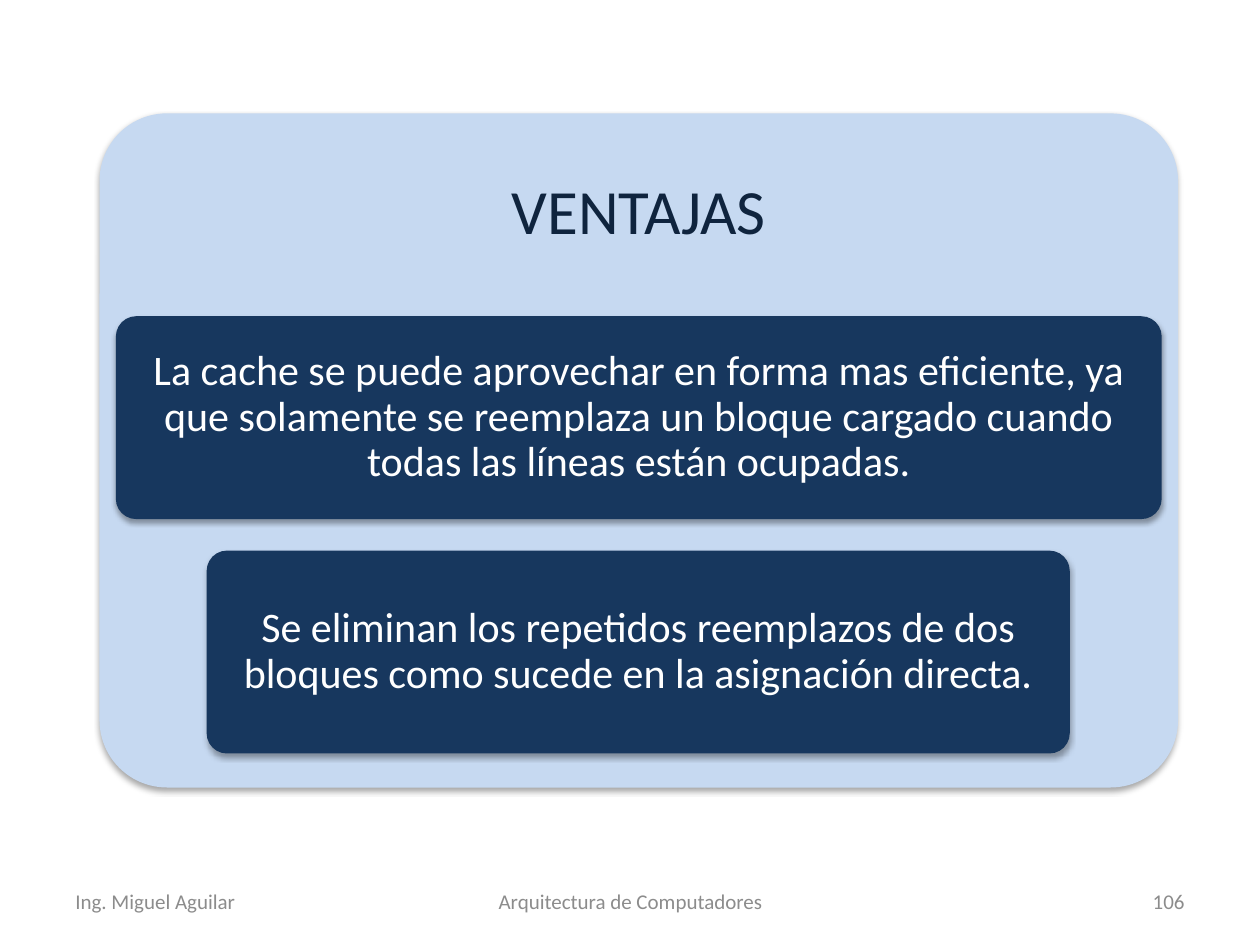
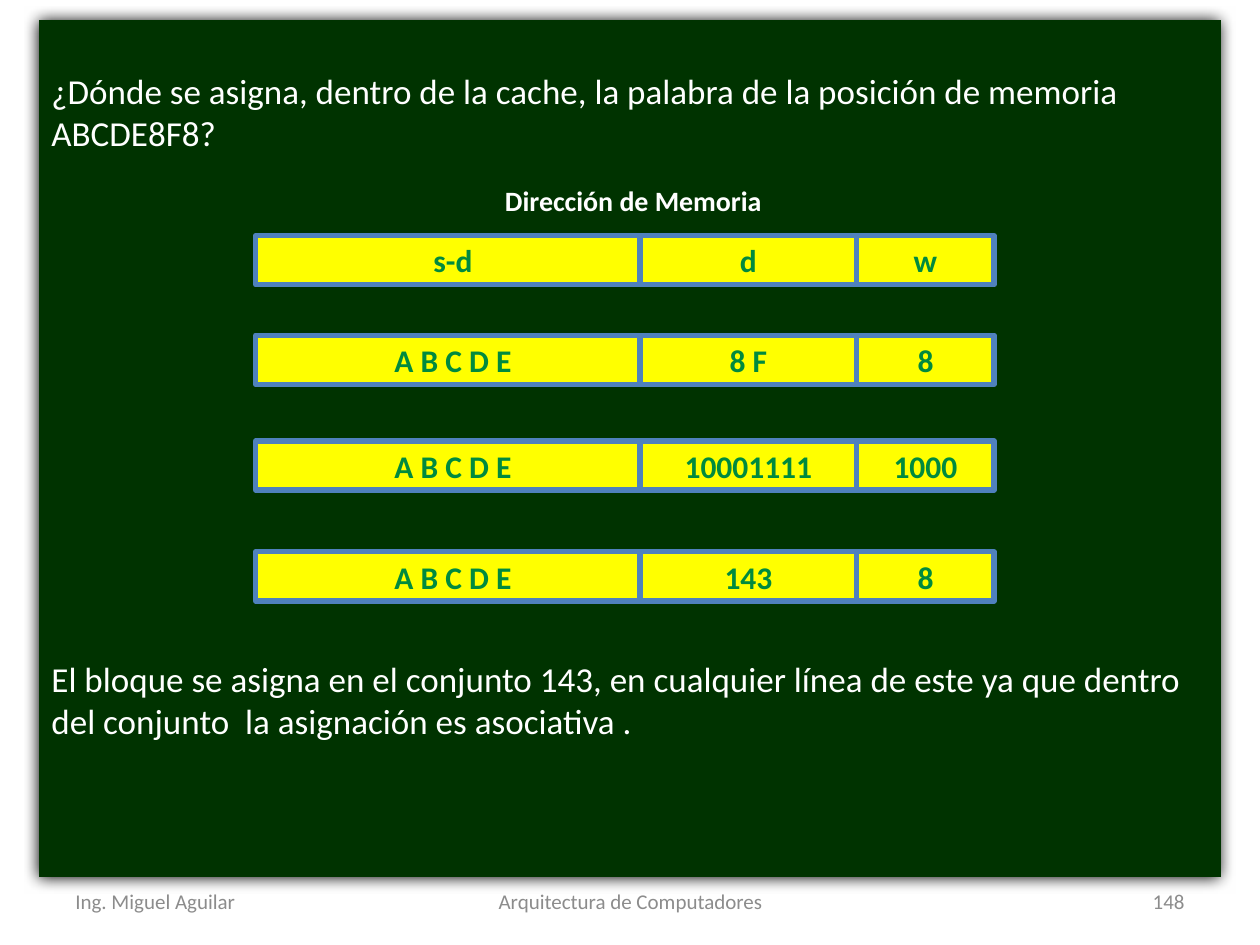
"""Build two slides on cache mapping: advantages and a set-associative example."""
from dataclasses import dataclass

from lxml.etree import SubElement
from pptx import Presentation
from pptx.dml.color import RGBColor as RGB
from pptx.enum.shapes import MSO_SHAPE as SHAPE
from pptx.enum.text import MSO_ANCHOR as ANCHOR, PP_ALIGN as ALIGN
from pptx.oxml.ns import qn
from pptx.util import Inches, Pt


@dataclass(frozen=True)
class Theme:
    font: str = "Calibri"
    white: str = "FFFFFF"
    footer: str = "8C8C8C"
    panel: str = "C6D9F1"
    heading: str = "0F243E"
    card: str = "17375E"
    board: str = "003300"
    cell: str = "FFFF00"
    cell_line: str = "4F81BD"
    cell_text: str = "008A3E"
    footer_pt: int = 12
    label_pt: int = 16
    cell_pt: int = 18
    body_pt: int = 20
    card_pt: int = 24
    heading_pt: int = 36


T = Theme()
SOFT = {"alpha": 35, "blur": 3.1, "dist": 1.8}
GLOW = {"alpha": 100, "blur": 8.5, "dist": 1}


def add_box(s, at, kind=None, fill=None, line=None, shadow=None):
    at = [Inches(v) for v in at]
    if kind is None:
        return s.shapes.add_textbox(*at)
    sp = s.shapes.add_shape(kind, *at)
    sp.shadow.inherit = False
    sp.fill.solid()
    sp.fill.fore_color.rgb = RGB.from_string(fill)
    if line:
        sp.line.color.rgb = RGB.from_string(line)
        sp.line.width = Pt(3)
    else:
        sp.line.fill.background()
    if shadow:
        effects = sp._element.spPr.find(qn("a:effectLst"))
        outer = SubElement(effects, qn("a:outerShdw"), blurRad=str(Pt(shadow["blur"])),
                           dist=str(Pt(shadow["dist"])), dir="5400000", rotWithShape="0")
        color = SubElement(outer, qn("a:srgbClr"), val="000000")
        SubElement(color, qn("a:alpha"), val=str(shadow["alpha"] * 1000))
    return sp


def write(sp, texts, size, color, bold=False, frame=None, para=None, gap=0):
    tf = sp.text_frame
    for name, value in {"word_wrap": True, "vertical_anchor": ANCHOR.MIDDLE, **(frame or {})}.items():
        setattr(tf, name, value)
    for i, text in enumerate(texts):
        p = tf.paragraphs[0] if i == 0 else tf.add_paragraph()
        for name, value in {"alignment": ALIGN.CENTER, **(para or {})}.items():
            setattr(p, name, value)
        if i:
            p.space_before = Pt(gap)
        r = p.add_run()
        r.text = text
        for name, value in {"name": T.font, "size": Pt(size), "bold": bold}.items():
            setattr(r.font, name, value)
        r.font.color.rgb = RGB.from_string(color)


prs = Presentation()
prs.slide_width, prs.slide_height = Inches(10), Inches(7.5)

slides = []
for number in ("106", "148"):
    s = prs.slides.add_slide(prs.slide_layouts[6])
    slides.append(s)
    for text, left, width, align in (
        ("Ing. Miguel Aguilar", 0.5, 2.33, ALIGN.LEFT),
        ("Arquitectura de Computadores", 3.42, 3.17, ALIGN.CENTER),
        (number, 7.17, 2.33, ALIGN.RIGHT),
    ):
        write(add_box(s, (left, 6.95, width, 0.4)), [text], T.footer_pt, T.footer,
              para={"alignment": align})
advantages, example = slides

tight = {"line_spacing": 0.9}
sp = add_box(advantages, (0.79, 0.9, 8.56, 5.35), SHAPE.ROUNDED_RECTANGLE, T.panel, shadow=SOFT)
sp.adjustments[0] = 0.1
write(add_box(advantages, (0.79, 0.9, 8.56, 1.6)), ["VENTAJAS"], T.heading_pt, T.heading, para=tight)

card_frame = {"margin_left": Inches(0.07), "margin_right": Inches(0.07)}
for left, top, width, text in (
    (0.92, 2.51, 8.3, "La cache se puede aprovechar en forma mas eficiente, ya que solamente "
                      "se reemplaza un bloque cargado cuando todas las líneas están ocupadas."),
    (1.64, 4.37, 6.85, "Se eliminan los repetidos reemplazos de dos bloques como sucede "
                       "en la asignación directa."),
):
    sp = add_box(advantages, (left, top, width, 1.61), SHAPE.ROUNDED_RECTANGLE, T.card, shadow=SOFT)
    sp.adjustments[0] = 0.1
    write(sp, [text], T.card_pt, T.white, frame=card_frame, para=tight)

board = add_box(example, (0.31, 0.16, 9.38, 6.8), SHAPE.RECTANGLE, T.board, shadow=GLOW)
write(board, [
    "¿Dónde se asigna, dentro de la cache, la palabra de la posición de memoria ABCDE8F8?",
    "El bloque se asigna en el conjunto 143, en cualquier línea de este ya que dentro "
    "del conjunto  la asignación es asociativa .",
], T.body_pt, T.white, frame={"vertical_anchor": ANCHOR.TOP, "margin_top": Inches(0.39)},
    para={"alignment": ALIGN.LEFT}, gap=288)

write(add_box(example, (3.91, 1.41, 2.27, 0.37)), ["Dirección de Memoria"], T.label_pt, T.white,
      bold=True, frame={"word_wrap": False, "vertical_anchor": ANCHOR.TOP},
      para={"alignment": ALIGN.LEFT})

columns = ((2.03, 3.13), (5.08, 1.72), (6.8, 1.09))
rows = (
    (1.87, ("s-d", "d", "w")),
    (2.66, ("A B C D E", "8 F", "8")),
    (3.5, ("A B C D E", "10001111", "1000")),
    (4.38, ("A B C D E", "143", "8")),
)
for top, fields in rows:
    for (left, width), text in zip(columns, fields):
        sp = add_box(example, (left, top, width, 0.39), SHAPE.RECTANGLE, T.cell, T.cell_line)
        write(sp, [text], T.cell_pt, T.cell_text, bold=True)

prs.save("out.pptx")
